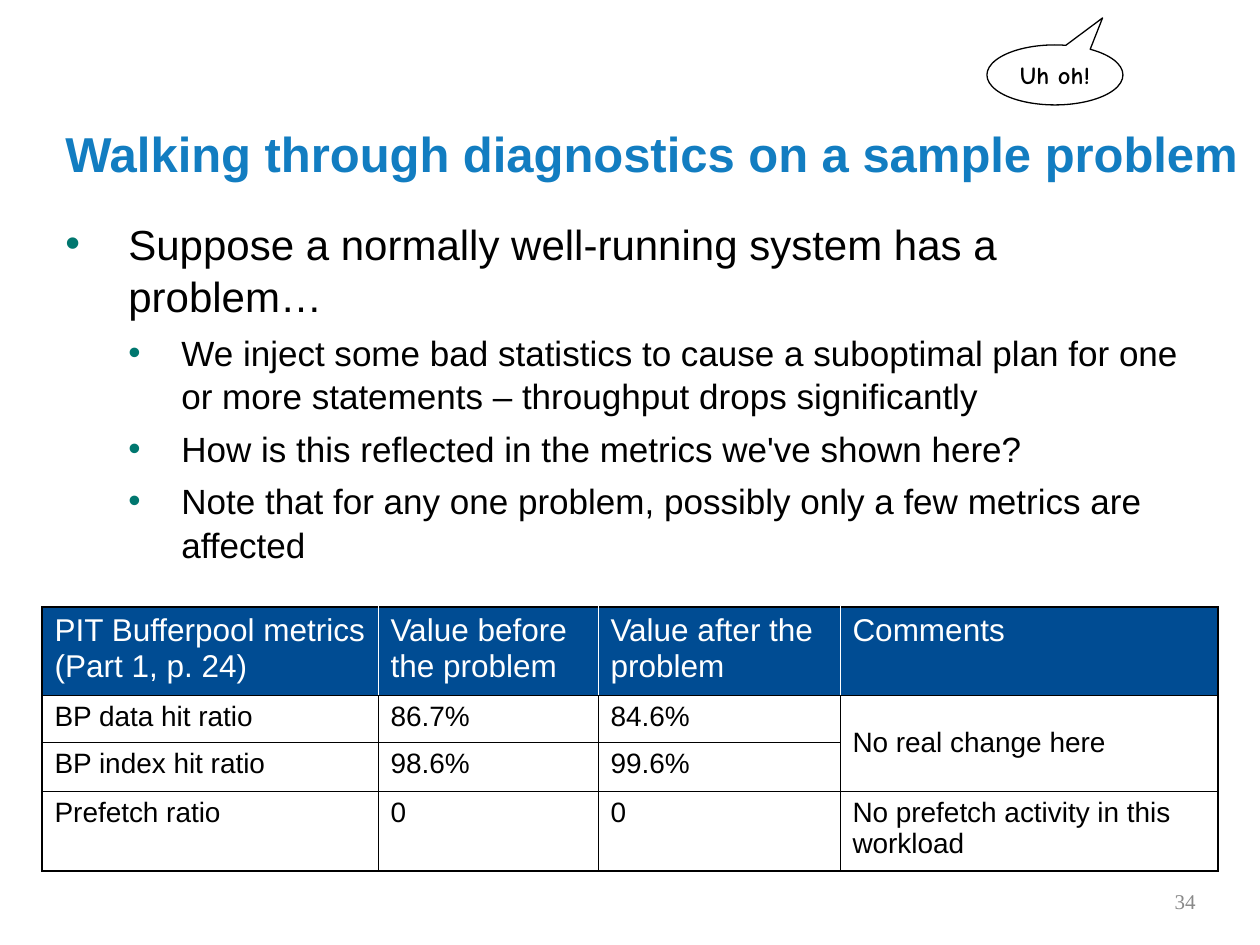
from dataclasses import dataclass

from lxml import etree
from pptx import Presentation
from pptx import util as u
from pptx.dml.color import RGBColor
from pptx.enum import shapes, text
from pptx.oxml import ns

SCALE = 914400 / 126
COLORS = {
    "title": "127DC1", "bullet": "00776F", "header": "004C93",
    "black": "000000", "white": "FFFFFF", "number": "898989",
}
THIN, THICK = 0.45, 1.08


def px(n: int) -> u.Emu:
    return u.Emu(round(n * SCALE))


def rgb(name: str) -> RGBColor:
    return RGBColor.from_string(COLORS[name])


@dataclass
class Style:
    size: int
    color: str = "black"
    font: str = "Arial"
    bold: bool = False
    align: text.PP_ALIGN = text.PP_ALIGN.LEFT
    anchor: text.MSO_ANCHOR = text.MSO_ANCHOR.TOP
    spacing: float = 1.0
    wrap: bool = True


@dataclass
class Box:
    x: int
    y: int
    w: int
    h: int

    def emu(self) -> list[u.Emu]:
        return [px(n) for n in (self.x, self.y, self.w, self.h)]


@dataclass
class Bullet:
    words: str
    level: int = 1


@dataclass
class Level:
    style: Style
    margin: int
    hang: int
    before: int


LEVELS = [
    Level(Style(24, spacing=1.04), 63, 63, 6),
    Level(Style(20, spacing=1.04), 116, 53, 5),
]
BULLETS = [
    Bullet("Suppose a normally well-running system has a problem…", 0),
    Bullet("We inject some bad statistics to cause a suboptimal plan for one "
           "or more statements – throughput drops significantly"),
    Bullet("How is this reflected in the metrics we've shown here?"),
    Bullet("Note that for any one problem, possibly only a few metrics are affected"),
]
COLS = [336, 220, 242, 378]
ROWS = [88, 47, 49, 80]
METRICS = [
    ["PIT Bufferpool metrics (Part 1, p. 24)", "Value before the problem",
     "Value after the problem", "Comments"],
    ["BP data hit ratio", "86.7%", "84.6%", "No real change here"],
    ["BP index hit ratio", "98.6%", "99.6%", ""],
    ["Prefetch ratio", "0", "0", "No prefetch activity in this workload"],
]


def apply(obj, values: dict) -> None:
    for name, value in values.items():
        setattr(obj, name, value)


def write(p, words: str, st: Style) -> None:
    apply(p, {"alignment": st.align, "line_spacing": st.spacing})
    r = p.add_run()
    r.text = words
    apply(r.font, {"size": u.Pt(st.size), "name": st.font, "bold": st.bold})
    r.font.color.rgb = rgb(st.color)


def fill_frame(tf, words: str, st: Style) -> None:
    apply(tf, {"word_wrap": st.wrap, "vertical_anchor": st.anchor})
    write(tf.paragraphs[0], words, st)


def add_text(s, box: Box, words: str, st: Style) -> None:
    fill_frame(s.shapes.add_textbox(*box.emu()).text_frame, words, st)


def add_bullets(s, box: Box, bullets: list[Bullet]) -> None:
    tf = s.shapes.add_textbox(*box.emu()).text_frame
    tf.word_wrap = True
    for i, b in enumerate(bullets):
        lv = LEVELS[b.level]
        p = tf.add_paragraph() if i else tf.paragraphs[0]
        p.level = b.level
        pPr = p._p.get_or_add_pPr()
        pPr.set("marL", str(px(lv.margin)))
        pPr.set("indent", str(-px(lv.hang)))
        clr = etree.SubElement(pPr, ns.qn("a:buClr"))
        etree.SubElement(clr, ns.qn("a:srgbClr"), val=COLORS["bullet"])
        etree.SubElement(pPr, ns.qn("a:buFont"), typeface="Arial")
        etree.SubElement(pPr, ns.qn("a:buChar"), char="•")
        if i:
            p.space_before = u.Pt(lv.before)
        write(p, b.words, lv.style)


def add_border(cell, side: str, color: str, width: float) -> None:
    ln = etree.SubElement(cell._tc.get_or_add_tcPr(), ns.qn(f"a:ln{side}"),
                          w=str(u.Pt(width)))
    fill = etree.SubElement(ln, ns.qn("a:solidFill"))
    etree.SubElement(fill, ns.qn("a:srgbClr"), val=COLORS[color])


def add_metrics(s, x: int, y: int) -> None:
    box = Box(x, y, sum(COLS), sum(ROWS))
    tbl = s.shapes.add_table(len(ROWS), len(COLS), *box.emu()).table
    apply(tbl, {"first_row": False, "horz_banding": False})
    for col, w in zip(tbl.columns, COLS):
        col.width = px(w)
    for row, h in zip(tbl.rows, ROWS):
        row.height = px(h)
    tbl.cell(1, 3).merge(tbl.cell(2, 3))
    last_r, last_c = len(ROWS) - 1, len(COLS) - 1
    for i, line in enumerate(METRICS):
        for j, words in enumerate(line):
            cell = tbl.cell(i, j)
            edges = {"L": j == 0, "R": j == last_c, "T": i == 0, "B": i == last_r}
            for side, outer in edges.items():
                inner_head = i == 0 and side in "LR" and not outer
                add_border(cell, side, "white" if inner_head else "black",
                           THICK if outer else THIN)
            if i == 0:
                cell.fill.solid()
                cell.fill.fore_color.rgb = rgb("header")
            else:
                cell.fill.background()
            if cell.is_merge_origin:
                cell.vertical_anchor = text.MSO_ANCHOR.MIDDLE
            if words:
                write(cell.text_frame.paragraphs[0], words,
                      Style(16) if i else Style(18, "white"))


def add_callout(s, box: Box, words: str, st: Style) -> None:
    sp = s.shapes.add_shape(shapes.MSO_SHAPE.OVAL_CALLOUT, *box.emu())
    sp.adjustments[0], sp.adjustments[1] = 0.35, -0.95
    sp.shadow.inherit = False
    sp.fill.solid()
    sp.fill.fore_color.rgb = rgb("white")
    sp.line.color.rgb = rgb("black")
    sp.line.width = u.Pt(0.75)
    fill_frame(sp.text_frame, words, st)


def main() -> None:
    prs = Presentation()
    apply(prs, {"slide_width": px(1260), "slide_height": px(945)})
    s = prs.slides.add_slide(prs.slide_layouts[6])
    add_text(s, Box(53, 105, 1239, 84),
             "Walking through diagnostics on a sample problem",
             Style(28, "title", bold=True, anchor=text.MSO_ANCHOR.BOTTOM, spacing=0.9))
    add_bullets(s, Box(53, 210, 1155, 693), BULLETS)
    add_metrics(s, 42, 607)
    add_text(s, Box(914, 876, 294, 50), "34",
             Style(12, "number", "Times New Roman", align=text.PP_ALIGN.RIGHT,
                   anchor=text.MSO_ANCHOR.MIDDLE))
    add_callout(s, Box(987, 45, 136, 60), "Uh oh!",
                Style(14, font="Comic Neue", bold=True, align=text.PP_ALIGN.CENTER,
                      anchor=text.MSO_ANCHOR.MIDDLE, wrap=False))
    prs.save("out.pptx")


if __name__ == "__main__":
    main()
